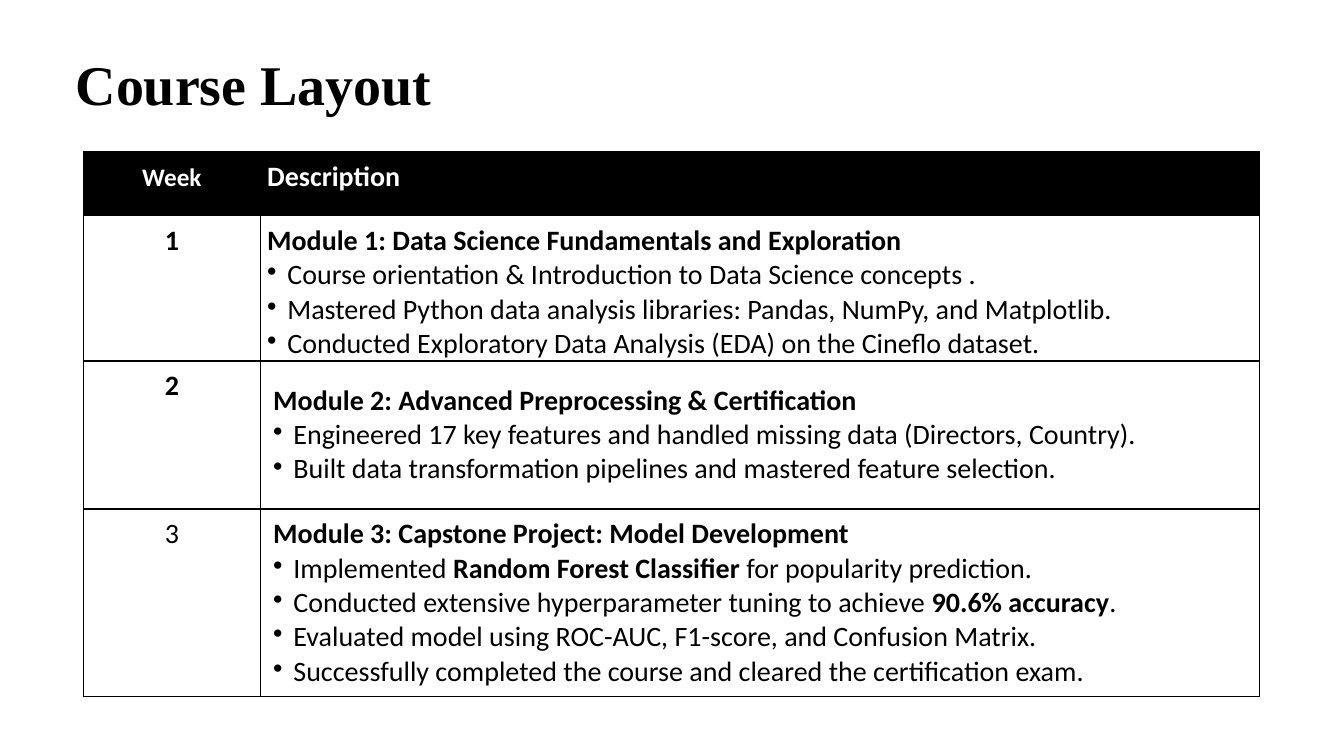
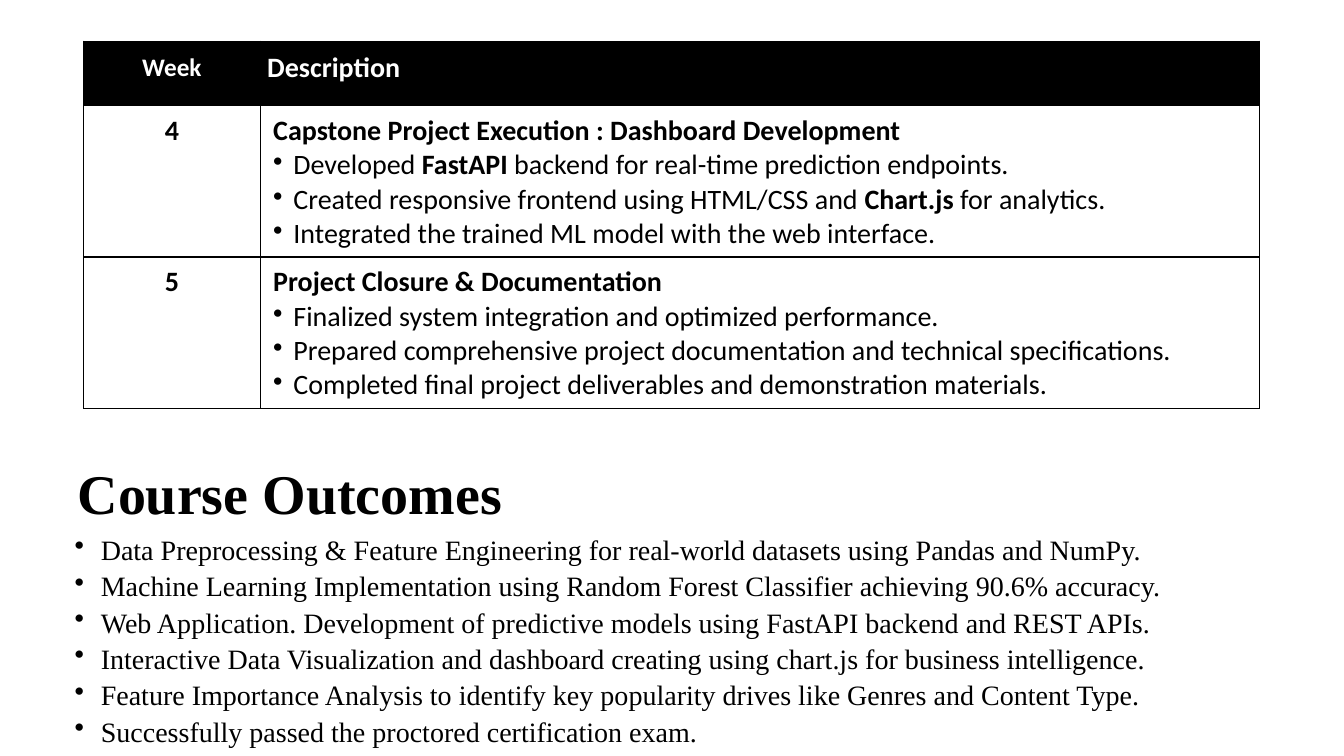
from pptx import Presentation
from pptx.dml.color import RGBColor
from pptx.enum.text import MSO_ANCHOR, PP_ALIGN
from pptx.oxml import parse_xml
from pptx.oxml.ns import nsdecls
from pptx.util import Inches, Pt

BLACK, WHITE = "000000", "FFFFFF"
SERIF, SANS = "Times New Roman", "Calibri"
LEFT, COLS = 0.83, (1.75, 9.91)
HEAD = 0.64

# Asterisks enclose bold text; the first line of a module is its heading.
EARLY = [
    ("*1*", 1.43, [
        "*Module 1: Data Science Fundamentals and Exploration*",
        "Course orientation & Introduction to Data Science concepts .",
        "Mastered Python data analysis libraries: Pandas, NumPy, and Matplotlib.",
        "Conducted Exploratory Data Analysis (EDA) on the Cineflo dataset."]),
    ("*2*", 1.47, [
        "*Module 2: Advanced Preprocessing & Certification*",
        "Engineered 17 key features and handled missing data (Directors, Country).",
        "Built data transformation pipelines and mastered feature selection."]),
    ("3", 1.84, [
        "*Module 3: Capstone Project: Model Development*",
        "Implemented *Random Forest Classifier* for popularity prediction.",
        "Conducted extensive hyperparameter tuning to achieve *90.6% accuracy*.",
        "Evaluated model using ROC-AUC, F1-score, and Confusion Matrix.",
        "Successfully completed the course and cleared the certification exam."]),
]
LATE = [
    ("*4*", 1.5, [
        "*Capstone Project Execution : Dashboard Development*",
        "Developed *FastAPI* backend for real-time prediction endpoints.",
        "Created responsive frontend using HTML/CSS and *Chart.js* for analytics.",
        "Integrated the trained ML model with the web interface."]),
    ("*5*", 1.5, [
        "*Project Closure & Documentation*",
        "Finalized system integration and optimized performance.",
        "Prepared comprehensive project documentation and technical specifications.",
        "Completed final project deliverables and demonstration materials."]),
]
OUTCOMES = [
    "Data Preprocessing & Feature Engineering for real-world datasets using Pandas and NumPy.",
    "Machine Learning Implementation using Random Forest Classifier achieving 90.6% accuracy.",
    "Web Application. Development of predictive models using FastAPI backend and REST APIs.",
    "Interactive Data Visualization and dashboard creating using chart.js for business intelligence.",
    "Feature Importance Analysis to identify key popularity drives like Genres and Content Type.",
    "Successfully passed the proctored certification exam.",
]


def color(value):
    return RGBColor.from_string(value)


def style(para, face, size, ink=BLACK):
    font = para.font
    font.name, font.size = face, Pt(size)
    font.color.rgb = color(ink)


def pad(box, left=0, top=0, right=0, bottom=0):
    """Set the inner margins of a cell or text frame."""
    box.margin_left, box.margin_top = Inches(left), Inches(top)
    box.margin_right, box.margin_bottom = Inches(right), Inches(bottom)


def bullet(para, indent):
    props = para._p.get_or_add_pPr()
    props.set("marL", str(Inches(indent)))
    props.set("indent", str(-Inches(indent)))
    props.append(parse_xml(f'<a:buChar {nsdecls("a")} char="•"/>'))


def write(para, text):
    """Add runs, with the parts between asterisks in bold."""
    for index, part in enumerate(text.split("*")):
        if part:
            run = para.add_run()
            run.text = part
            if index % 2:
                run.font.bold = True


def paras(frame, lines):
    """Yield one paragraph of the frame with each line."""
    for index, line in enumerate(lines):
        yield frame.add_paragraph() if index else frame.paragraphs[0], line


def add_title(slide, text, left, top, width):
    title = slide.shapes.title
    title.left, title.top = Inches(left), Inches(top)
    title.width, title.height = Inches(width), Inches(0.69)
    frame = title.text_frame
    frame.text = text
    frame.vertical_anchor = MSO_ANCHOR.TOP
    pad(frame, top=0.07)
    para = frame.paragraphs[0]
    para.alignment = PP_ALIGN.LEFT
    style(para, SERIF, 40)
    para.font.bold = True


def add_list(slide, lines):
    box = slide.shapes.add_textbox(Inches(0.74), Inches(5.25),
                                   Inches(11.86), Inches(2.1))
    frame = box.text_frame
    frame.word_wrap = True
    pad(frame, top=0.03)
    for para, line in paras(frame, lines):
        bullet(para, 0.26)
        if para is not frame.paragraphs[0] and line != lines[0]:
            para.space_before = Pt(2)
        style(para, SERIF, 20)
        write(para, line)


def dress(cell, fill):
    """Give a cell its borders and fill."""
    props = cell._tc.get_or_add_tcPr()
    for side in "LRTB":
        props.append(parse_xml(
            f'<a:ln{side} {nsdecls("a")} w="{Pt(1)}"><a:solidFill>'
            f'<a:srgbClr val="{BLACK}"/></a:solidFill></a:ln{side}>'))
    cell.fill.solid()
    cell.fill.fore_color.rgb = color(fill)


def label(cell, text, size, ink, top):
    """Fill a one-line cell."""
    pad(cell, top=top)
    para = cell.text_frame.paragraphs[0]
    style(para, SANS, size, ink)
    write(para, text)
    return para


def add_plan(slide, top, weeks):
    """Add the table of weeks and their modules."""
    heights = [HEAD] + [height for _, height, _ in weeks]
    table = slide.shapes.add_table(
        len(heights), 2, Inches(LEFT), Inches(top),
        Inches(sum(COLS)), Inches(sum(heights))).table
    table.first_row = table.horz_banding = False
    for column, width in zip(table.columns, COLS):
        column.width = Inches(width)
    for index, height in enumerate(heights):
        table.rows[index].height = Inches(height)
        for cell in table.rows[index].cells:
            dress(cell, WHITE if index else BLACK)

    week, about = table.rows[0].cells
    label(week, "*Week*", 18, WHITE, 0.11).alignment = PP_ALIGN.CENTER
    label(about, "*Description*", 20, WHITE, 0.09)
    about.margin_left = Inches(0.07)

    for index, (number, _, lines) in enumerate(weeks, 1):
        week, about = table.rows[index].cells
        label(week, number, 20, BLACK, 0.08).alignment = PP_ALIGN.CENTER
        about.vertical_anchor = MSO_ANCHOR.MIDDLE
        if number == "*1*":
            pad(about, 0.07, 0.08)
        else:
            pad(about, 0.13, 0.08, 0.1, 0.08)
        for para, line in paras(about.text_frame, lines):
            if line != lines[0]:
                bullet(para, 0.2)
            style(para, SANS, 20)
            write(para, line)


def main():
    deck = Presentation()
    deck.slide_width, deck.slide_height = Inches(13.33), Inches(7.5)
    layout = deck.slide_layouts.get_by_name("Title Only")

    slide = deck.slides.add_slide(layout)
    add_title(slide, "Course Layout", 0.75, 0.42, 3.56)
    add_plan(slide, 1.5, EARLY)

    slide = deck.slides.add_slide(layout)
    add_title(slide, "Course Outcomes", 0.77, 4.48, 4.24)
    add_list(slide, OUTCOMES)
    add_plan(slide, 0.41, LATE)

    deck.save("out.pptx")


if __name__ == "__main__":
    main()
